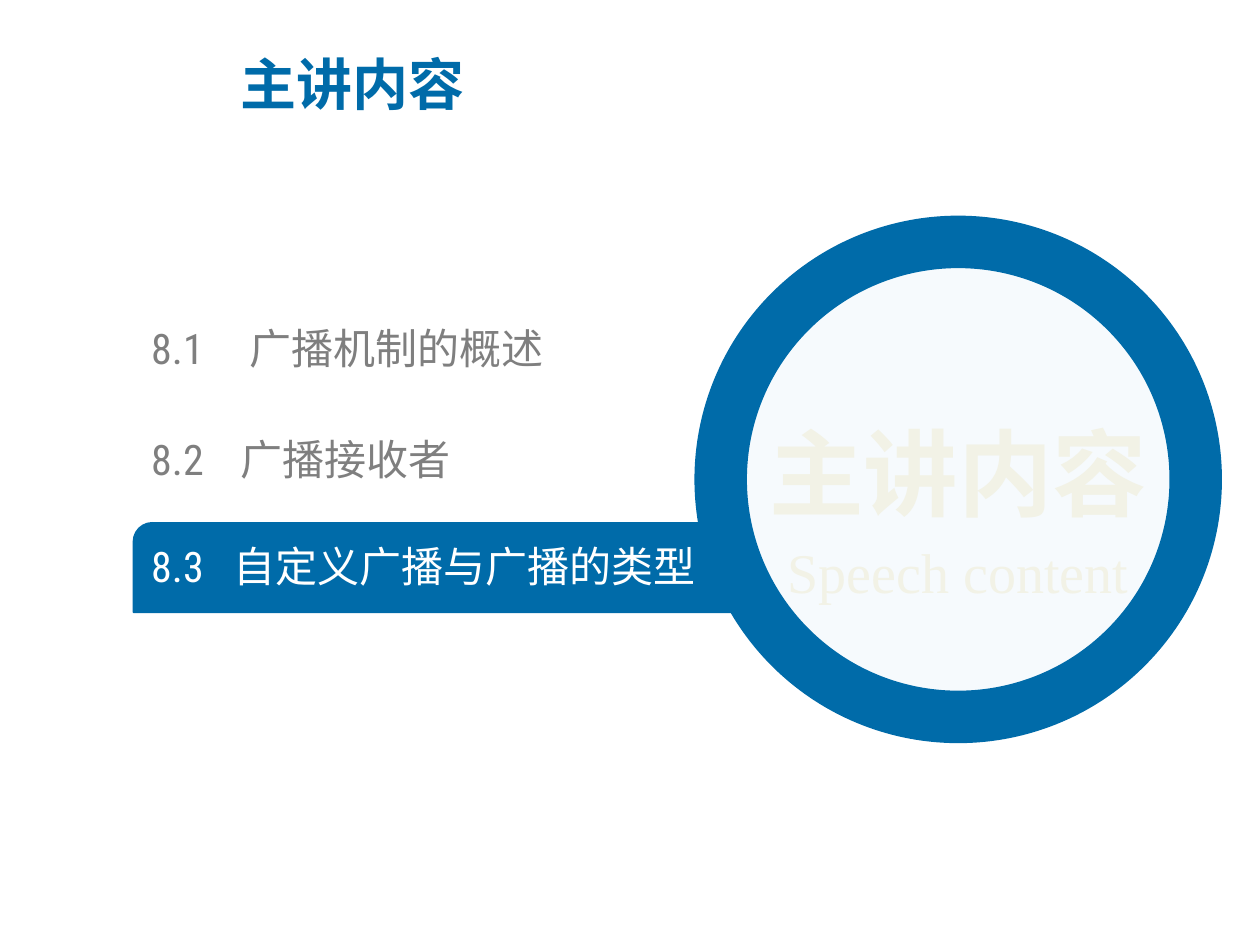
import pptx
import pptx.util
import pptx.dml.color
import pptx.enum.shapes
import pptx.enum.text
import pptx.oxml.ns
import lxml.etree

Inches = pptx.util.Inches
RGBColor = pptx.dml.color.RGBColor
Shape = pptx.enum.shapes.MSO_SHAPE
Align = pptx.enum.text.PP_ALIGN
qn = pptx.oxml.ns.qn

BLUE = RGBColor(0x00, 0x6B, 0xA9)
GRAY = RGBColor(0x7F, 0x7F, 0x7F)
WHITE = RGBColor(0xFF, 0xFF, 0xFF)
PALE = RGBColor(0xF6, 0xFA, 0xFD)
CREAM = RGBColor(0xF2, 0xF2, 0xE6)

HAN = "Noto Sans CJK SC"
LATIN = "Roboto Condensed"
SERIF = "Times New Roman"

# number, topic, top, width, tab stop, colour
ITEMS = [
    ("8.1", "广播机制的概述", 2.56, 4.19, 0.78, GRAY),
    ("8.2", "广播接收者", 3.44, 4.19, 0.71, GRAY),
    ("8.3", "自定义广播与广播的类型", 4.29, 4.35, 0.65, WHITE),
]


def place(shape, box):
    for name, value in zip(("left", "top", "width", "height"), box):
        setattr(shape, name, Inches(value))


def write(shape, text, size, color, font, bold=False, align=Align.LEFT, inset=0):
    frame = shape.text_frame
    form = {
        "word_wrap": True,
        "auto_size": pptx.enum.text.MSO_AUTO_SIZE.NONE,
        "vertical_anchor": pptx.enum.text.MSO_ANCHOR.MIDDLE,
    }
    for side in ("left", "top", "right", "bottom"):
        form["margin_" + side] = Inches(inset)
    for name, value in form.items():
        setattr(frame, name, value)
    para = frame.paragraphs[0]
    para.alignment = align
    run = para.add_run()
    run.text = text
    look = {"size": pptx.util.Pt(size), "bold": bold, "name": font}
    for name, value in look.items():
        setattr(run.font, name, value)
    run.font.color.rgb = color
    east = lxml.etree.SubElement(run.font._element, qn("a:ea"))
    east.set("typeface", HAN)
    return para


def add_text(slide, box, text, size, color, font, **form):
    shape = slide.shapes.add_textbox(*map(Inches, box))
    return write(shape, text, size, color, font, **form)


def add_item(slide, num, topic, top, width, stop, color):
    """Add a numbered topic whose name starts at a tab stop."""
    para = add_text(slide, (1.2, top, width, 0.4), f"{num}\t{topic}",
                    24, color, LATIN)
    props = para._p.get_or_add_pPr()
    tabs = lxml.etree.SubElement(props, qn("a:tabLst"))
    lxml.etree.SubElement(tabs, qn("a:tab"), pos=str(Inches(stop)), algn="l")


def add_form(slide, kind, box, fill, weight):
    shape = slide.shapes.add_shape(kind, *map(Inches, box))
    shape.shadow.inherit = False
    shape.fill.solid()
    shape.fill.fore_color.rgb = fill
    shape.line.color.rgb = BLUE
    shape.line.width = pptx.util.Pt(weight)
    return shape


def main():
    deck = pptx.Presentation()
    deck.slide_width, deck.slide_height = Inches(10), Inches(7.5)
    slide = deck.slides.add_slide(deck.slide_layouts[5])

    title = slide.shapes.title
    place(title, (1.81, 0.24, 5.63, 0.84))
    write(title, "主讲内容", 32, BLUE, HAN, bold=True, inset=0.1)

    bar = add_form(slide, Shape.ROUND_2_DIAG_RECTANGLE,
                   (1.06, 4.15, 5.43, 0.71), BLUE, 1)
    bar.adjustments[0], bar.adjustments[1] = 0.21, 0
    for item in ITEMS:
        add_item(slide, *item)

    add_form(slide, Shape.OVAL, (5.72, 1.92, 3.77, 3.77), PALE, 30)
    add_text(slide, (5.72, 3.19, 3.77, 1.1), "主讲内容", 54, CREAM, HAN,
             bold=True, align=Align.CENTER)
    add_text(slide, (5.72, 4.23, 3.77, 0.6), "Speech content", 32, CREAM, SERIF,
             align=Align.CENTER)
    deck.save("out.pptx")


if __name__ == "__main__":
    main()
